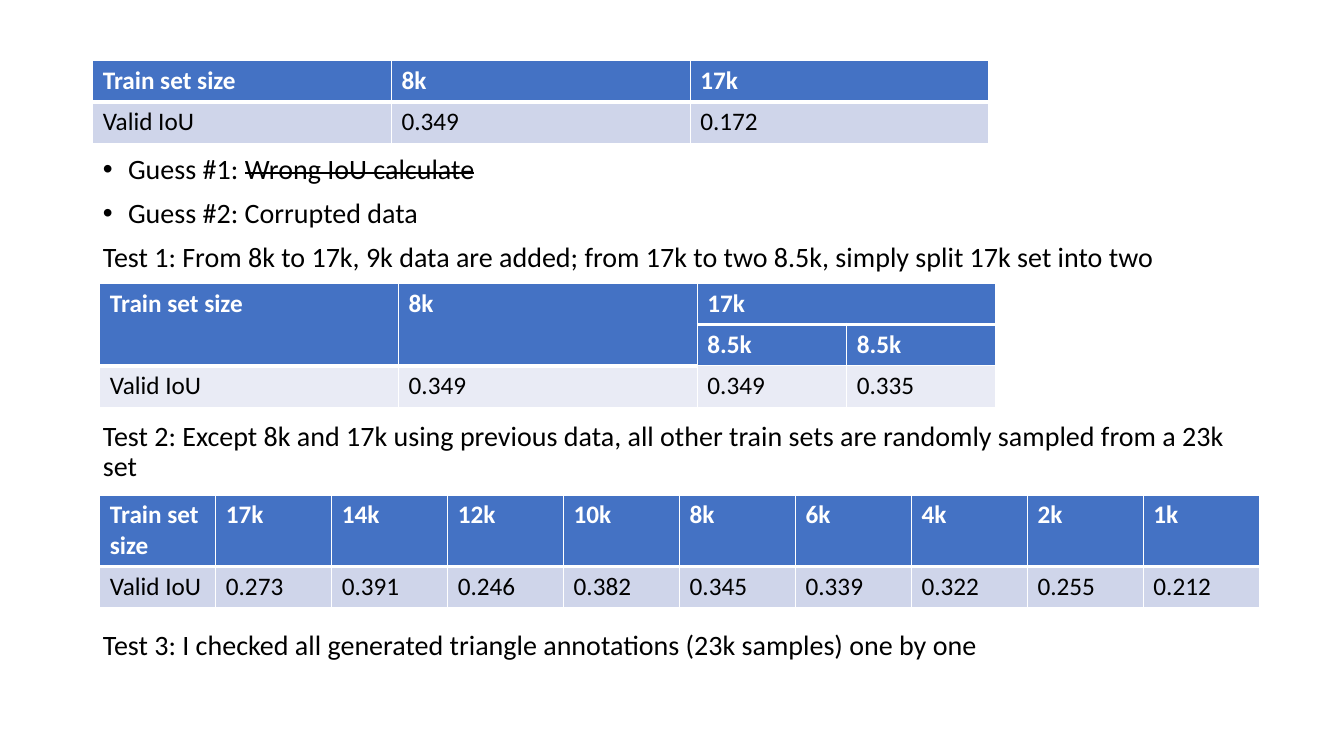
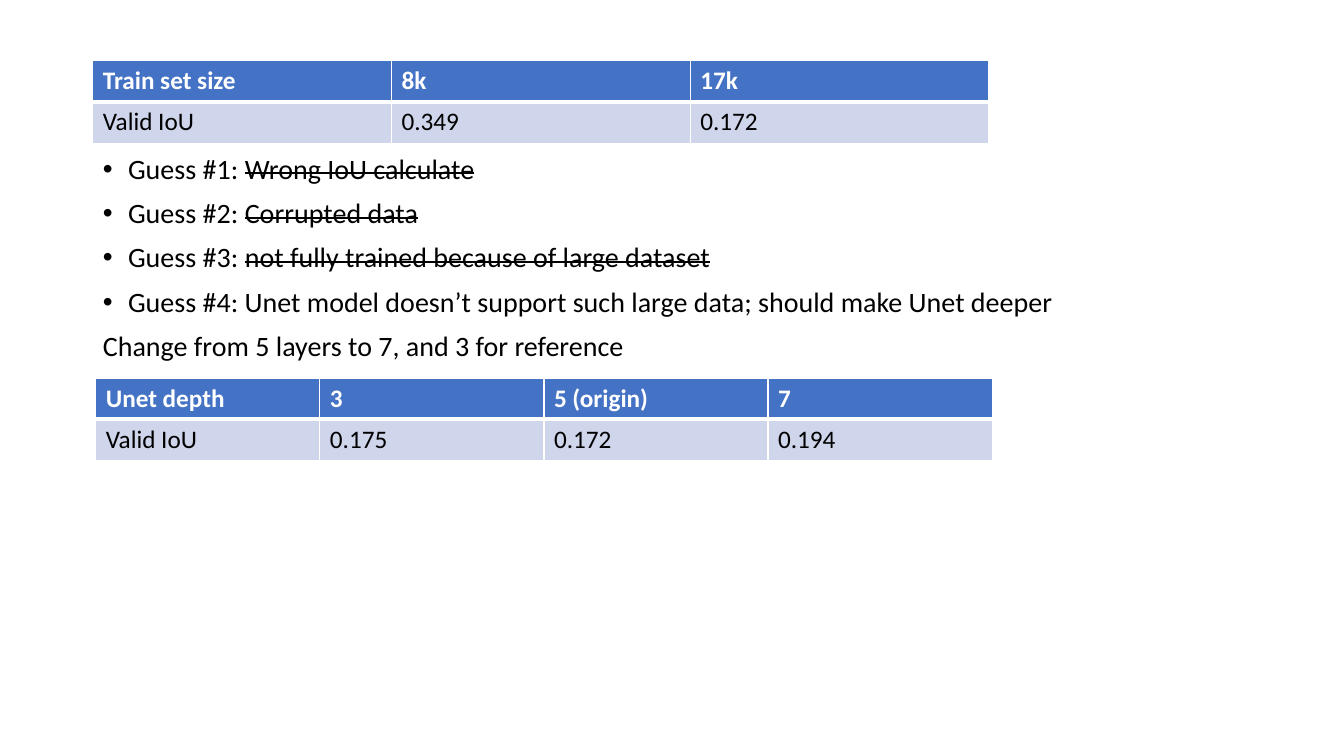
import pptx
import pptx.dml.color
import pptx.enum.text
import pptx.oxml
import pptx.oxml.ns
import pptx.util
from lxml import etree

Inches = pptx.util.Inches
Pt = pptx.util.Pt
RGBColor = pptx.dml.color.RGBColor
qn = pptx.oxml.ns.qn

WHITE = RGBColor(0xFF, 0xFF, 0xFF)
BLACK = RGBColor(0x00, 0x00, 0x00)
HEADER_BLUE = RGBColor(0x44, 0x72, 0xC4)
BANDS = (RGBColor(0xE9, 0xEB, 0xF5), RGBColor(0xCF, 0xD5, 0xEA))


class Deck:
    font_name = "Calibri"
    body_size = 20
    table_size = 18
    row_height = 0.41
    table_width = 8.89
    paragraph_gap = 10
    table_gap = 106

    def __init__(self):
        self.presentation = pptx.Presentation()
        self.presentation.slide_width = Inches(13.33)
        self.presentation.slide_height = Inches(7.5)
        self.slide = None

    def add_slide(self):
        layout = self.presentation.slide_layouts.get_by_name("Title and Content")
        self.slide = self.presentation.slides.add_slide(layout)
        title = self.slide.shapes.title._element
        title.getparent().remove(title)

    def style_run(self, run, size, color, bold=False):
        run.font.name = self.font_name
        run.font.size = Pt(size)
        run.font.color.rgb = color
        run.font.bold = bold

    def add_body(self, lines):
        body = self.slide.placeholders[1]
        body.left, body.top = Inches(0.92), Inches(1.49)
        body.width, body.height = Inches(11.5), Inches(5.27)
        text_frame = body.text_frame
        text_frame.auto_size = pptx.enum.text.MSO_AUTO_SIZE.NONE
        text_frame.vertical_anchor = pptx.enum.text.MSO_ANCHOR.TOP
        for index, line in enumerate(lines):
            paragraph = text_frame.add_paragraph() if index else text_frame.paragraphs[0]
            self.fill_paragraph(paragraph, **line)

    def fill_paragraph(self, paragraph, text, struck="", bullet=False, gap=paragraph_gap):
        paragraph.text = text
        if struck:
            run = paragraph.add_run()
            run.text = struck
            run._r.get_or_add_rPr().set("strike", "sngStrike")
        for run in paragraph.runs:
            self.style_run(run, self.body_size, BLACK)
        paragraph.line_spacing = 0.9
        paragraph.space_before = Pt(gap)
        properties = paragraph._p.get_or_add_pPr()
        indent = Inches(0.25) if bullet else 0
        properties.set("marL", str(indent))
        properties.set("indent", str(-indent))
        if bullet:
            etree.SubElement(properties, qn("a:buFont")).set("typeface", "Arial")
            etree.SubElement(properties, qn("a:buChar")).set("char", "•")
        else:
            etree.SubElement(properties, qn("a:buNone"))

    def add_table(self, left, top, rows, width=table_width, weights=None,
                  header_rows=1, header_height=row_height, merges=()):
        weights = weights or [1] * len(rows[0])
        heights = [header_height] * header_rows
        heights += [self.row_height] * (len(rows) - header_rows)
        table = self.slide.shapes.add_table(
            len(rows), len(weights), Inches(left), Inches(top),
            Inches(width), Inches(sum(heights))).table
        table.horz_banding = False
        for column, weight in zip(table.columns, weights):
            column.width = Inches(width * weight / sum(weights))
        for row, height in zip(table.rows, heights):
            row.height = Inches(height)
        for first, last in merges:
            table.cell(*first).merge(table.cell(*last))
        for row_index, values in enumerate(rows):
            for column_index, value in enumerate(values):
                cell = table.cell(row_index, column_index)
                if not cell.is_spanned:
                    self.fill_cell(cell, value, row_index, row_index < header_rows)

    def fill_cell(self, cell, value, row_index, is_header):
        cell.text_frame.text = value
        run = cell.text_frame.paragraphs[0].runs[0]
        self.style_run(run, self.table_size, WHITE if is_header else BLACK, is_header)
        cell.fill.solid()
        cell.fill.fore_color.rgb = HEADER_BLUE if is_header else BANDS[row_index % 2]
        properties = cell._tc.get_or_add_tcPr()
        for position, side in enumerate("LRTB"):
            weight = 3 if side == "B" and row_index == 0 else 1
            border = etree.Element(qn(f"a:ln{side}"), w=str(Pt(weight)))
            fill = etree.SubElement(border, qn("a:solidFill"))
            etree.SubElement(fill, qn("a:srgbClr")).set("val", str(WHITE))
            properties.insert(position, border)

    def add_baseline_table(self):
        self.add_table(0.92, 0.6, [["Train set size", "8k", "17k"],
                                   ["Valid IoU", "0.349", "0.172"]])


def build_data_slide(deck):
    deck.add_slide()
    deck.add_body([
        dict(text="Guess #1: ", struck="Wrong IoU calculate", bullet=True),
        dict(text="Guess #2: Corrupted data", bullet=True),
        dict(text="Test 1: From 8k to 17k, 9k data are added; "
                  "from 17k to two 8.5k, simply split 17k set into two"),
        dict(text="Test 2: Except 8k and 17k using previous data, "
                  "all other train sets are randomly sampled from a 23k set",
             gap=deck.table_gap),
        dict(text="Test 3: I checked all generated triangle annotations "
                  "(23k samples) one by one", gap=deck.table_gap),
    ])
    deck.add_baseline_table()
    deck.add_table(
        0.99, 2.81,
        [["Train set size", "8k", "17k", ""],
         ["", "", "8.5k", "8.5k"],
         ["Valid IoU", "0.349", "0.349", "0.335"]],
        weights=[2, 2, 1, 1], header_rows=2,
        merges=[((0, 0), (1, 0)), ((0, 1), (1, 1)), ((0, 2), (0, 3))])
    deck.add_table(
        0.99, 4.91,
        [["Train set size", "17k", "14k", "12k", "10k", "8k", "6k", "4k", "2k", "1k"],
         ["Valid IoU", "0.273", "0.391", "0.246", "0.382", "0.345",
          "0.339", "0.322", "0.255", "0.212"]],
        width=11.5, header_height=0.7)


def build_depth_slide(deck):
    deck.add_slide()
    deck.add_body([
        dict(text="Guess #1: ", struck="Wrong IoU calculate", bullet=True),
        dict(text="Guess #2: ", struck="Corrupted data", bullet=True),
        dict(text="Guess #3: ", struck="not fully trained because of large dataset",
             bullet=True),
        dict(text="Guess #4: Unet model doesn’t support such large data; "
                  "should make Unet deeper", bullet=True),
        dict(text="Change from 5 layers to 7, and 3 for reference"),
    ])
    deck.add_baseline_table()
    deck.add_table(0.95, 3.75, [["Unet depth", "3", "5 (origin)", "7"],
                                ["Valid IoU", "0.175", "0.172", "0.194"]])


def main():
    deck = Deck()
    build_data_slide(deck)
    build_depth_slide(deck)
    deck.presentation.save("out.pptx")


if __name__ == "__main__":
    main()
